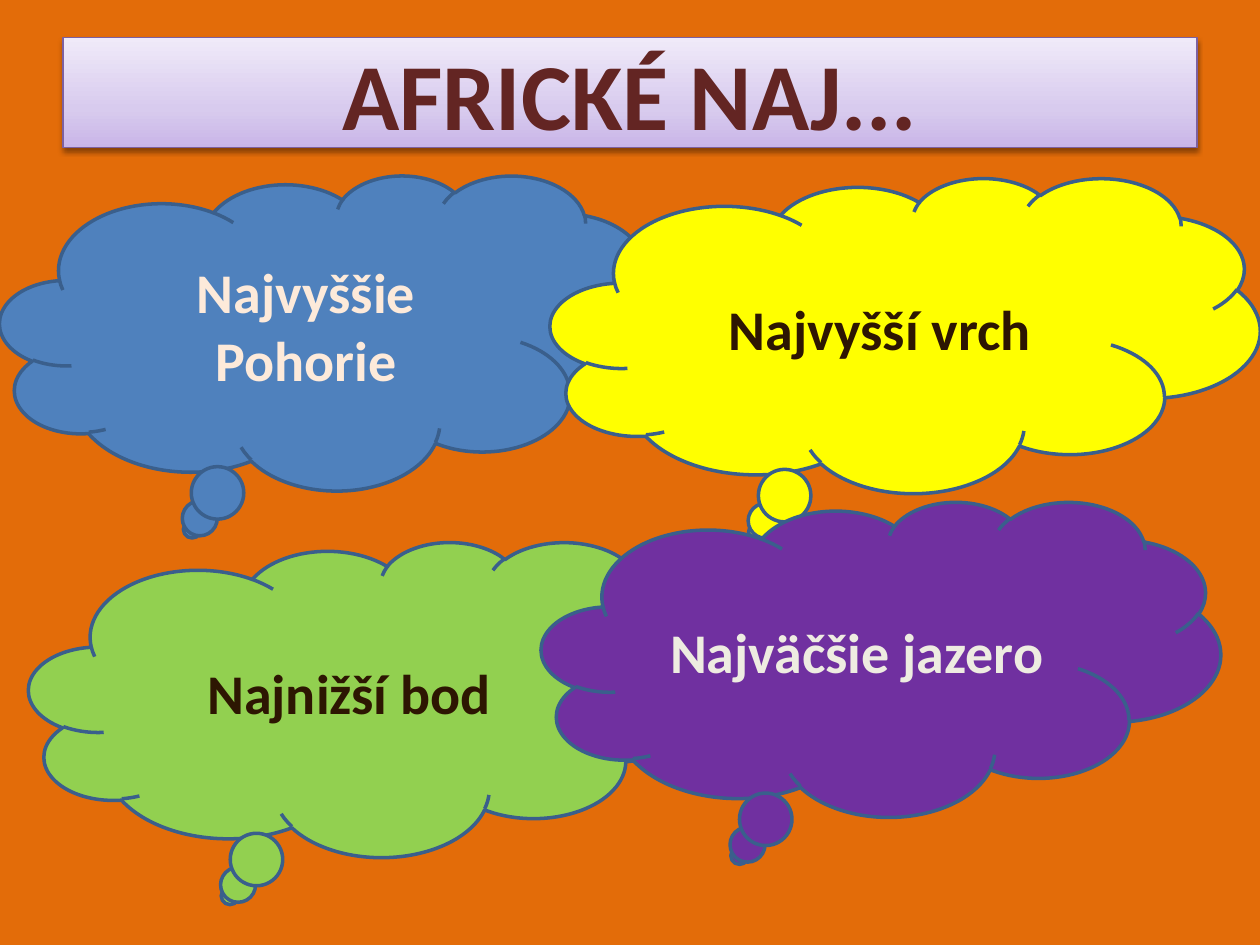
from dataclasses import dataclass

from lxml import etree
from pptx import Presentation
from pptx.dml.color import RGBColor
from pptx.enum.shapes import MSO_SHAPE
from pptx.enum.text import MSO_ANCHOR, PP_ALIGN
from pptx.oxml import parse_xml
from pptx.oxml.ns import nsdecls, qn
from pptx.util import Pt

RECT = MSO_SHAPE.RECTANGLE
CLOUD = MSO_SHAPE.CLOUD_CALLOUT
MIDDLE = MSO_ANCHOR.MIDDLE
CENTER = PP_ALIGN.CENTER
FONT = "Calibri"
BACKGROUND = "E36C09"
CLOUD_LINE = "3A5F8C"
DARK_TEXT = "2D1602"
CLOUD_HEIGHT = 180
TITLE_STOPS = [(0, "C9B5E8"), (35, "D8CBEE"), (100, "F0EAF9")]


@dataclass
class Cloud:
    left: float
    top: float
    width: float
    fill: str
    color: str
    lines: list[str]


CLOUDS = [
    Cloud(0, 100, 376.5, "4F81BD", "FDEADA", ["Najvyššie", "Pohorie"]),
    Cloud(314.5, 101.5, 405.5, "FFFF00", DARK_TEXT, ["Najvyšší vrch"]),
    Cloud(16.5, 309.5, 394, "92D050", DARK_TEXT, ["Najnižší bod"]),
    Cloud(309.5, 286.5, 388, "7030A0", "EEECE1", ["Najväčšie jazero"]),
]


def rgb(value: str) -> RGBColor:
    return RGBColor.from_string(value)


def add_box(s, kind, left: float, top: float, width: float, height: float, line: str, weight: float):
    sp = s.shapes.add_shape(kind, Pt(left), Pt(top), Pt(width), Pt(height))
    sp.shadow.inherit = False
    sp.line.color.rgb = rgb(line)
    sp.line.width = Pt(weight)
    return sp


def write(sp, lines: list[str], size: float, color: str) -> None:
    tf = sp.text_frame
    tf.word_wrap = True
    tf.vertical_anchor = MIDDLE
    tf.text = "\n".join(lines)
    for p in tf.paragraphs:
        p.alignment = CENTER
        p.font.name = FONT
        p.font.size = Pt(size)
        p.font.bold = True
        p.font.color.rgb = rgb(color)


def add_title(s) -> None:
    sp = add_box(s, RECT, 36, 21.6, 648, 62.6, "7D60A0", 0.75)
    stops = "".join(
        f'<a:gs pos="{pos * 1000}"><a:srgbClr val="{color}"/></a:gs>'
        for pos, color in TITLE_STOPS
    )
    props = sp.fill._xPr
    props.find(qn("a:prstGeom")).addnext(parse_xml(
        f'<a:gradFill {nsdecls("a")} rotWithShape="1"><a:gsLst>{stops}</a:gsLst>'
        '<a:lin ang="16200000" scaled="0"/></a:gradFill>'
    ))
    shadow = etree.SubElement(
        props.find(qn("a:effectLst")), qn("a:outerShdw"),
        blurRad=str(Pt(3.1)), dist=str(Pt(1.6)), dir="5400000", rotWithShape="0",
    )
    color = etree.SubElement(shadow, qn("a:srgbClr"), val="000000")
    etree.SubElement(color, qn("a:alpha"), val="38000")
    write(sp, ["AFRICKÉ NAJ..."], 54, "632523")


def add_cloud(s, cloud: Cloud) -> None:
    sp = add_box(s, CLOUD, cloud.left, cloud.top, cloud.width, CLOUD_HEIGHT, CLOUD_LINE, 2)
    sp.fill.solid()
    sp.fill.fore_color.rgb = rgb(cloud.fill)
    write(sp, cloud.lines, 32, cloud.color)


def main() -> None:
    prs = Presentation()
    prs.slide_width, prs.slide_height = Pt(720), Pt(540)
    s = prs.slides.add_slide(prs.slide_layouts[6])
    s.background.fill.solid()
    s.background.fill.fore_color.rgb = rgb(BACKGROUND)
    add_title(s)
    for cloud in CLOUDS:
        add_cloud(s, cloud)
    prs.save("out.pptx")


if __name__ == "__main__":
    main()
